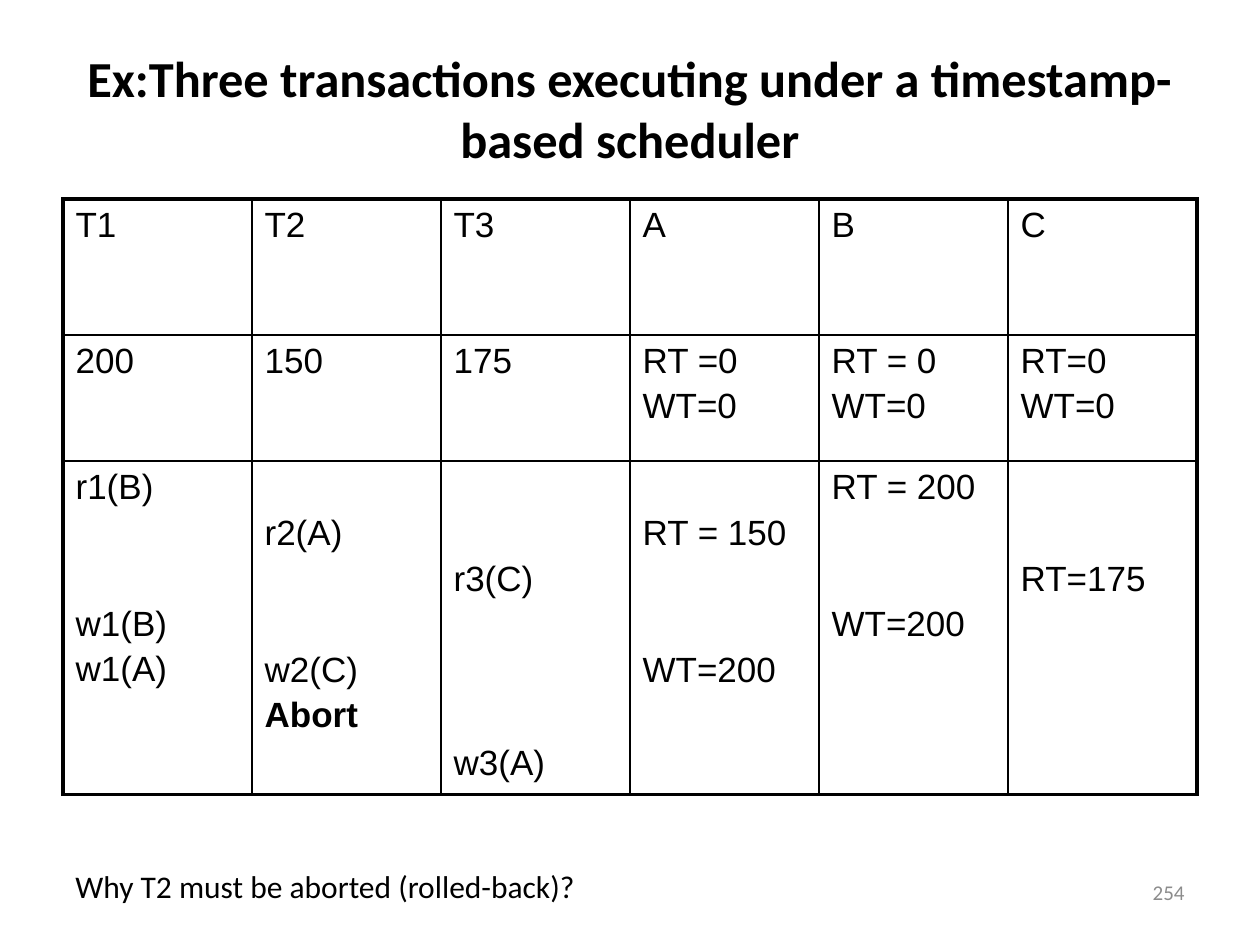
from lxml import etree
from pptx import Presentation
from pptx.dml.color import RGBColor
from pptx.enum.text import MSO_ANCHOR, PP_ALIGN
from pptx.oxml.ns import qn
from pptx.util import Inches, Pt

LEFT, CENTER, RIGHT = PP_ALIGN.LEFT, PP_ALIGN.CENTER, PP_ALIGN.RIGHT
TOP, MIDDLE = MSO_ANCHOR.TOP, MSO_ANCHOR.MIDDLE

SCHEDULE = [
    ["T1", "T2", "T3", "A", "B", "C"],
    ["200", "150", "175", "RT =0|WT=0", "RT = 0|WT=0", "RT=0|WT=0"],
    ["r1(B)|||w1(B)|w1(A)", "|r2(A)|||w2(C)|Abort", "||r3(C)||||w3(A)",
     "|RT = 150|||WT=200", "RT = 200|||WT=200", "||RT=175"],
]


def color(code):
    return RGBColor.from_string(code)


class ScheduleSlide:
    """Draws on one slide, with lengths in half-inch columns and rows."""

    unit = Inches(0.5)
    ink, muted = "000000", "8C8C8C"
    text_font, table_font = "Calibri", "Arial"
    table_size, line_pitch, line_gap = 20, 26.4, 3.4
    cell_inset = 3.6
    inner_line, outer_line = 1, 2.25

    def __init__(self, deck):
        self.slide = deck.slides.add_slide(deck.slide_layouts[6])

    def grid(self, *lengths):
        return [round(length * self.unit) for length in lengths]

    def style(self, para, font, size, code, bold=False):
        for span in para.runs:
            span.font.name, span.font.size, span.font.bold = font, Pt(size), bold
            span.font.color.rgb = color(code)

    def text(self, place, words, size, code=ink, align=LEFT, anchor=TOP, bold=False):
        frame = self.slide.shapes.add_textbox(*self.grid(*place)).text_frame
        frame.word_wrap, frame.vertical_anchor = True, anchor
        frame.text = words
        para = frame.paragraphs[0]
        para.alignment = align
        self.style(para, self.text_font, size, code, bold)

    def border(self, cell, side, width):
        line = etree.SubElement(cell._tc.get_or_add_tcPr(), qn(f"a:ln{side}"), w=str(Pt(width)))
        fill = etree.SubElement(line, qn("a:solidFill"))
        etree.SubElement(fill, qn("a:srgbClr"), val=self.ink)

    def fill_cell(self, cell, lines, bold_word):
        steps = [(number, words) for number, words in enumerate(lines.split("|")) if words]
        previous = steps[0][0]
        cell.margin_top = Pt(self.cell_inset + previous * self.line_pitch)
        cell.text = "\n".join(words for _, words in steps)
        for para, (number, words) in zip(cell.text_frame.paragraphs, steps):
            if number > previous:
                skipped = number - previous - 1
                para.space_before = Pt(self.line_gap + skipped * self.line_pitch)
            self.style(para, self.table_font, self.table_size, self.ink, words == bold_word)
            previous = number

    def table(self, place, rows, heights, bold_word):
        last_row, last_column = len(rows) - 1, len(rows[0]) - 1
        table = self.slide.shapes.add_table(len(rows), len(rows[0]), *self.grid(*place)).table
        table.first_row = table.horz_banding = False
        for row, height in zip(table.rows, self.grid(*heights)):
            row.height = height
        for r, row in enumerate(rows):
            for c, lines in enumerate(row):
                cell = table.cell(r, c)
                self.fill_cell(cell, lines, bold_word)
                edges = {"L": c == 0, "R": c == last_column, "T": r == 0, "B": r == last_row}
                for side, outer in edges.items():
                    self.border(cell, side, self.outer_line if outer else self.inner_line)
                cell.fill.background()


def main():
    deck = Presentation()
    deck.slide_width, deck.slide_height = Inches(10), Inches(7.5)
    page = ScheduleSlide(deck)
    page.text((1, 0.6, 18, 2.22), "Ex:Three transactions executing under a timestamp-based scheduler",
              28.8, align=CENTER, anchor=MIDDLE, bold=True)
    heights = (2.16, 2, 5.2)
    page.table((1, 3.16, 18, sum(heights)), SCHEDULE, heights, bold_word="Abort")
    page.text((1, 13.66, 10.34, 0.8), "Why T2 must be aborted (rolled-back)?", 18)
    page.text((14.34, 13.66, 4.66, 1), "254", 12, page.muted, RIGHT, MIDDLE)
    deck.save("out.pptx")


if __name__ == "__main__":
    main()
